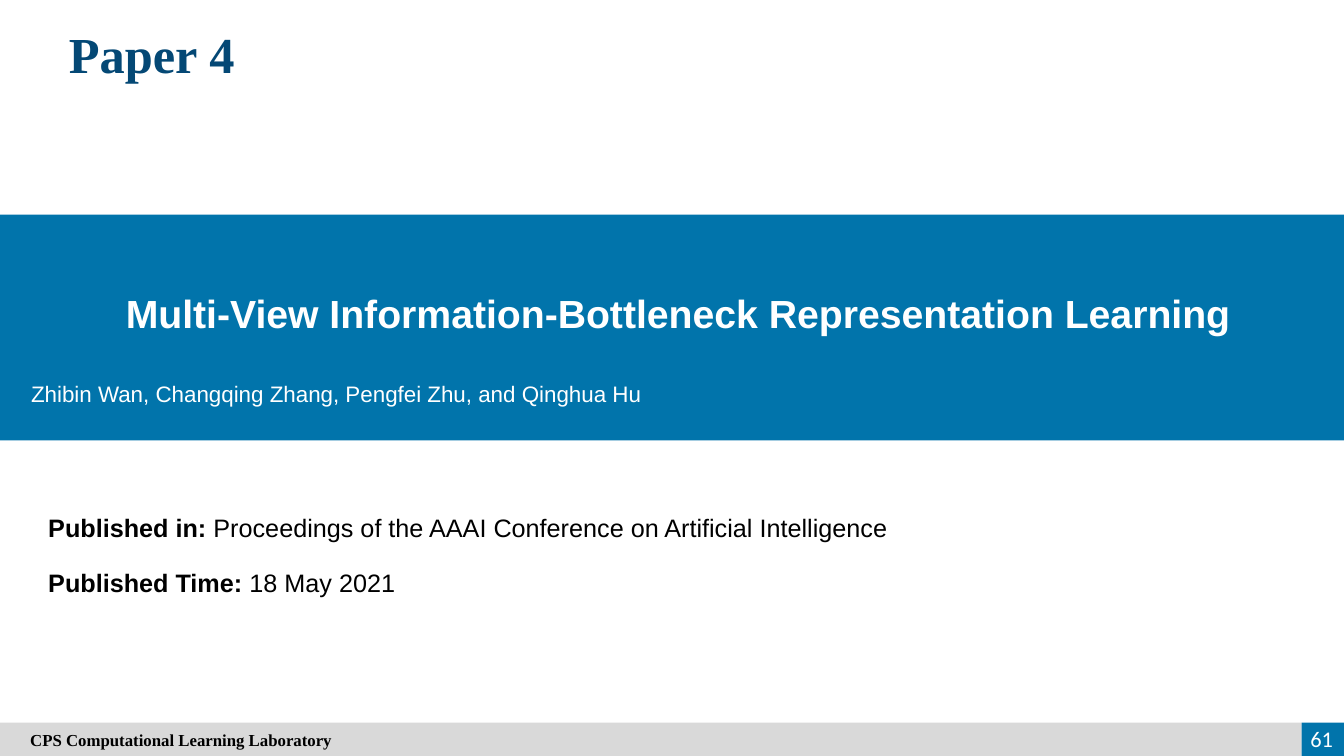
"""Build the title slide for Paper 4 on multi-view representation learning."""
from pptx import Presentation
from pptx.dml.color import RGBColor
from pptx.enum import shapes, text
from pptx.util import Inches, Pt

BLUE, NAVY, GREY, WHITE, BLACK = "0174AB", "044875", "D9D9D9", "FFFFFF", "000000"
LEFT, CENTER, RIGHT = text.PP_ALIGN.LEFT, text.PP_ALIGN.CENTER, text.PP_ALIGN.RIGHT
TOP, MIDDLE = text.MSO_ANCHOR.TOP, text.MSO_ANCHOR.MIDDLE


def add_bar(left, top, width, height, color):
    bar = page.shapes.add_shape(shapes.MSO_SHAPE.RECTANGLE, Inches(left), Inches(top),
                                Inches(width), Inches(height))
    bar.shadow.inherit = False
    bar.fill.solid()
    bar.fill.fore_color.rgb = RGBColor.from_string(color)
    bar.line.fill.background()
    return bar


def write(box, spans, size, font, color, align=LEFT, anchor=TOP):
    frame = box.text_frame
    frame.word_wrap = True
    frame.vertical_anchor = anchor
    para = frame.paragraphs[0]
    para.alignment = align
    for words, bold in spans:
        span = para.add_run()
        span.text = words
        span.font.size = Pt(size)
        span.font.name = font
        span.font.bold = bold
        span.font.color.rgb = RGBColor.from_string(color)
    return para


deck = Presentation()
deck.slide_width, deck.slide_height = Inches(13.33), Inches(7.5)
page = deck.slides.add_slide(deck.slide_layouts[5])

heading = page.shapes.title
heading.left, heading.top = Inches(0.38), Inches(0.18)
heading.width, heading.height = Inches(2.25), Inches(0.71)
write(heading, [("Paper 4", True)], 36, "Times New Roman", NAVY, CENTER, TOP)

add_bar(-0.02, 2.13, 13.39, 2.24, BLUE)
paper_title = page.shapes.add_textbox(Inches(0.31), Inches(2.63), Inches(12.83), Inches(0.72))
title_para = write(paper_title, [("Multi-View Information-Bottleneck Representation Learning", True)],
                   28, "Arial", WHITE, CENTER, MIDDLE)
title_para.line_spacing = 1.5
authors = page.shapes.add_textbox(Inches(0.21), Inches(3.72), Inches(13), Inches(0.37))
write(authors, [("Zhibin Wan, Changqing Zhang, Pengfei Zhu, and Qinghua Hu", False)], 16, "Arial", WHITE)

details = [
    ("Published in:", " Proceedings of the AAAI Conference on Artificial Intelligence"),
    ("Published Time:", " 18 May 2021"),
]
for row, (label, value) in enumerate(details):
    detail = page.shapes.add_textbox(Inches(0.38), Inches(5.03 + 0.55 * row), Inches(9.98), Inches(0.4))
    write(detail, [(label, True), (value, False)], 18, "Arial", BLACK)

footer = add_bar(0, 7.17, 12.91, 0.33, GREY)
footer.text_frame.margin_left = Inches(0.3)
write(footer, [("CPS Computational Learning Laboratory", True)], 12, "Times New Roman", BLACK, LEFT, MIDDLE)
add_bar(12.91, 7.17, 0.42, 0.33, BLUE)
page_number = page.shapes.add_textbox(Inches(12.69), Inches(7.13), Inches(0.63), Inches(0.4))
write(page_number, [("61", False)], 16, "Calibri", WHITE, RIGHT, MIDDLE)

deck.save("out.pptx")
